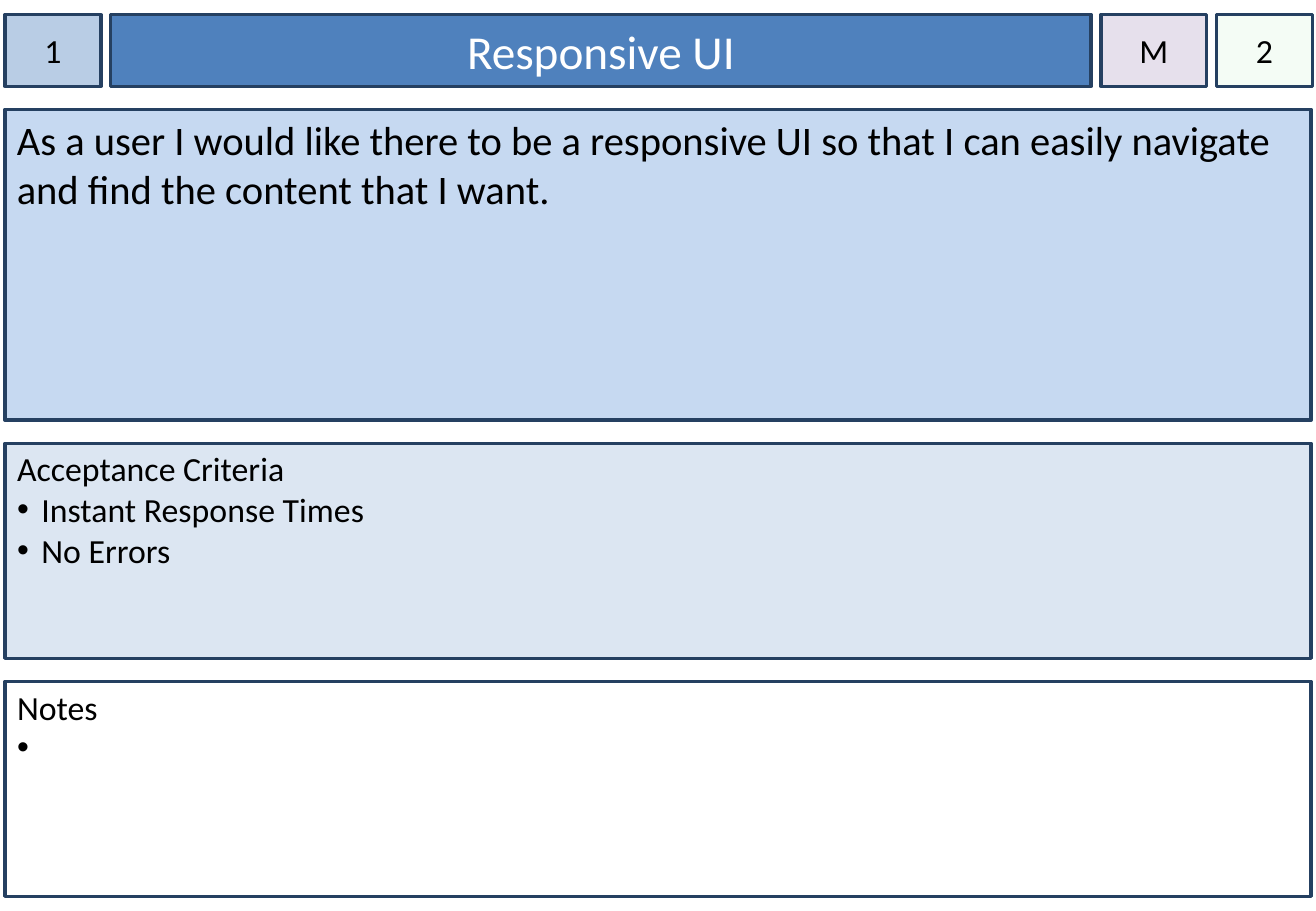
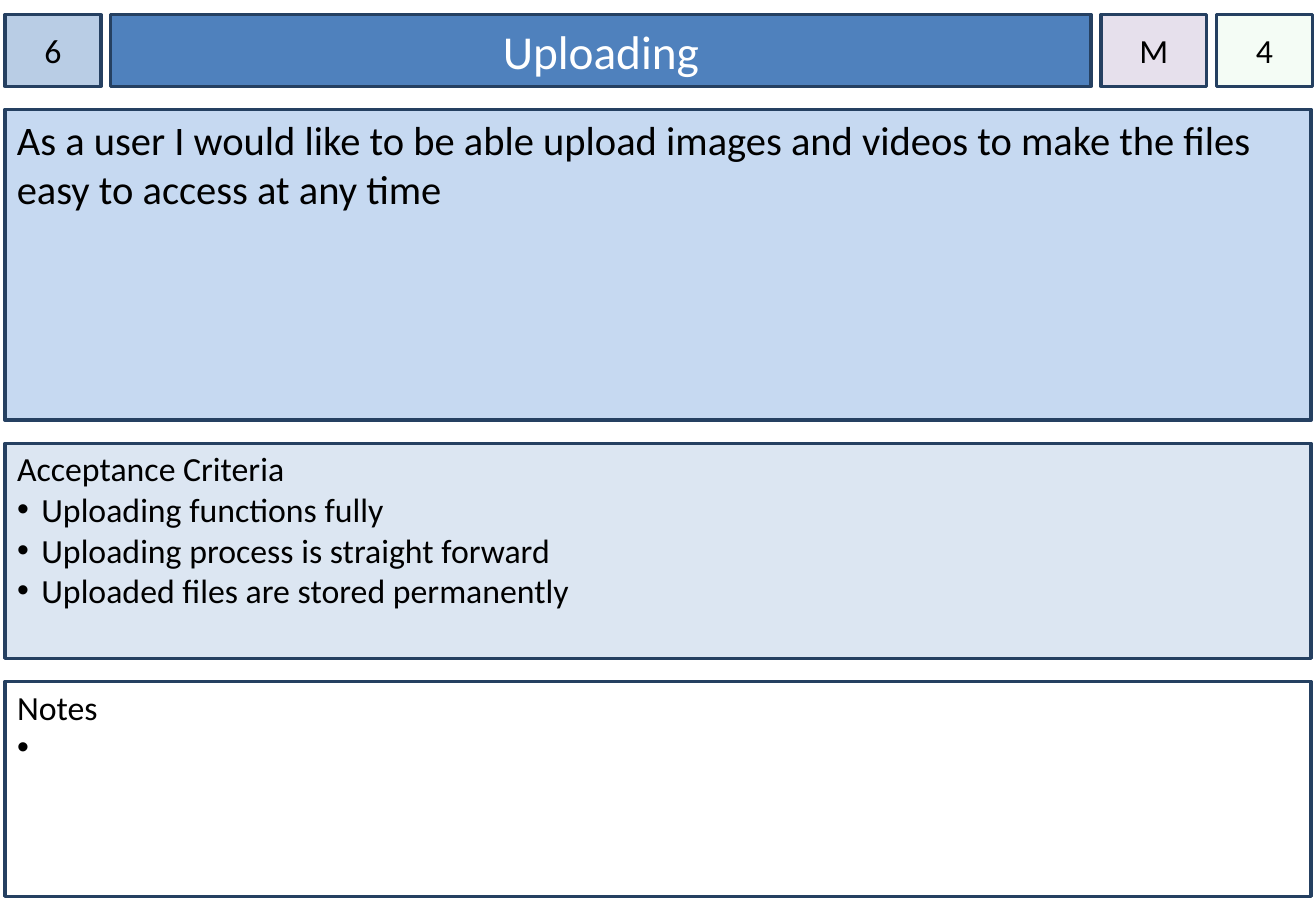
from dataclasses import dataclass
from lxml.etree import SubElement as Sub
from pptx import Presentation
from pptx.dml.color import RGBColor as RGB
from pptx.enum.shapes import MSO_SHAPE as Shape
from pptx.enum.text import MSO_ANCHOR as Anchor, MSO_AUTO_SIZE as Fit, PP_ALIGN as Align
from pptx.oxml.ns import qn
from pptx.util import Inches, Pt

# Content
CARDS = [
    dict(number="1", title="Responsive UI", rank="M", points="2",
         story=["As a user I would like there to be a responsive UI so that I can easily navigate",
                "and find the content that I want."],
         tests=["Instant Response Times", "No Errors"]),
    dict(number="6", title="Uploading", rank="M", points="4",
         story=["As a user I would like to be able upload images and videos to make the files",
                "easy to access at any time"],
         tests=["Uploading functions fully", "Uploading process is straight forward",
                "Uploaded files are stored permanently"]),
]
NOTES = [" "]  # one open bullet


@dataclass(frozen=True)
class Theme:
    font: str = "Calibri"
    ink: str = "000000"
    white: str = "FFFFFF"
    edge: str = "254061"
    number: str = "B9CDE5"
    title: str = "4F81BD"
    rank: str = "E6E0EC"
    points: str = "CCF0CD"
    story: str = "C6D9F1"
    tests: str = "DCE6F2"
    head: int = 28
    lead: int = 24
    text: int = 20
    line: int = 2


T = Theme()

# Layout: a row of four boxes above three stacked panels
WIDE, HIGH = 10.83, 7.5
LEFT, TOP, ROW, FULL = 0.04, 0.12, 0.59, 10.75
GAP, SPACE = 0.08, 0.19
INDENT = 0.2


def spread(start, sizes, gap):
    """Pair each size with its start, in one run with equal gaps."""
    spans = []
    for size in sizes:
        spans.append((start, size))
        start += size + gap
    return spans


COLS = spread(LEFT, (0.79, 8.07, 0.87, 0.79), GAP)
ROWS = spread(TOP, (ROW, 2.56, 1.77, 1.77), SPACE)
NUMBER, TITLE, RANK, POINTS = [(x, TOP, w, ROW) for x, w in COLS]
STORY, TESTS, REMARKS = [(LEFT, y, FULL, h) for y, h in ROWS[1:]]


def style(box, place, fill, lines, size, color=T.ink, mid=False, pad=(0.1, 0.05)):
    """Place a box, paint it and set its text."""
    box.left, box.top, box.width, box.height = map(Inches, place)
    box.fill.solid()
    box.fill.fore_color.rgb = RGB.from_string(fill)
    box.line.color.rgb = RGB.from_string(T.edge)
    box.line.width = Pt(T.line)
    frame = box.text_frame
    frame.text = "\n".join(lines)
    frame.word_wrap = True
    frame.auto_size = Fit.NONE
    frame.vertical_anchor = Anchor.MIDDLE if mid else Anchor.TOP
    frame.margin_left = frame.margin_right = Inches(pad[0])
    frame.margin_top, frame.margin_bottom = Inches(pad[1]), Inches(0.05)
    for para in frame.paragraphs:
        para.alignment = Align.CENTER if mid else Align.LEFT
        para.space_before = Pt(0)
        for run in para.runs:
            run.font.name = T.font
            run.font.size = Pt(size)
            run.font.color.rgb = RGB.from_string(color)


def add_box(slide, *args, **opts):
    box = slide.shapes.add_shape(Shape.RECTANGLE, 0, 0, 0, 0)
    box.shadow.inherit = False
    style(box, *args, **opts)
    return box


def fill_list(box, place, fill, head, items):
    """A plain heading line with bullets under it."""
    style(box, place, fill, [head, *items], T.text, pad=(0.1, 0.04))
    for i, para in enumerate(box.text_frame.paragraphs):
        props = para._p.get_or_add_pPr()
        dent = Inches(INDENT) if i else 0
        props.set("marL", str(dent))
        props.set("indent", str(-dent))
        if i:
            Sub(props, qn("a:buFont")).set("typeface", "Arial")
            Sub(props, qn("a:buChar")).set("char", "•")
        else:
            Sub(props, qn("a:buNone"))


def add_card(deck, card):
    slide = deck.slides.add_slide(deck.slide_layouts.get_by_name("Two Content"))
    title, tests, notes = list(slide.placeholders)[:3]

    # Top row
    style(title, TITLE, T.title, [card["title"]], T.head, T.white, mid=True)
    for key, place in (("number", NUMBER), ("rank", RANK), ("points", POINTS)):
        box = add_box(slide, place, getattr(T, key), [card[key]], T.text,
                      mid=True, pad=(0, 0.05))
        if key == "points":
            tint = box._element.spPr.find(qn("a:solidFill"))[0]
            Sub(tint, qn("a:alpha")).set("val", "20000")

    # Panels
    add_box(slide, STORY, T.story, card["story"], T.lead)
    fill_list(tests, TESTS, T.tests, "Acceptance Criteria", card["tests"])
    fill_list(notes, REMARKS, T.white, "Notes", NOTES)


deck = Presentation()
deck.slide_width, deck.slide_height = Inches(WIDE), Inches(HIGH)
for card in CARDS:
    add_card(deck, card)
deck.save("out.pptx")
